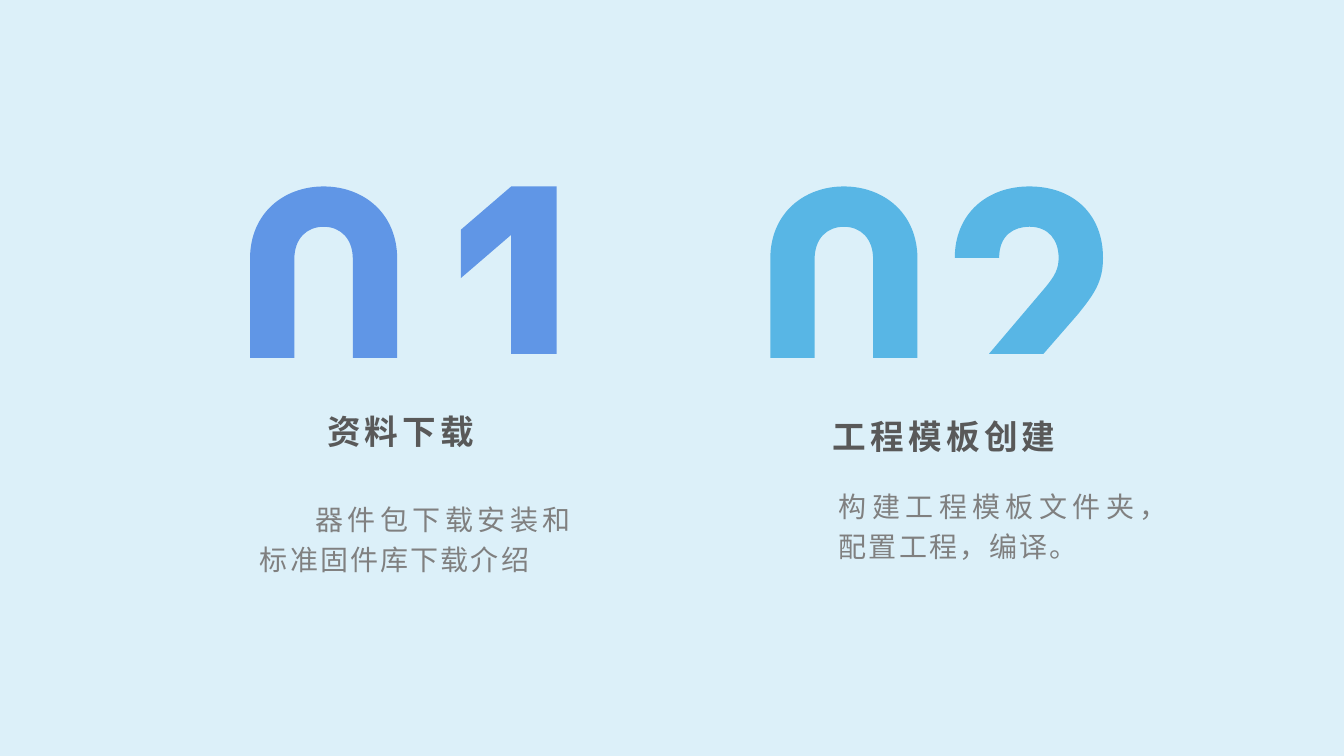
from lxml.etree import SubElement
from pptx import Presentation
from pptx.dml.color import RGBColor
from pptx.enum.text import MSO_ANCHOR as Anchor, PP_ALIGN as Align
from pptx.oxml.ns import qn
from pptx.util import Inches, Pt

BLUE, SKY = "6096E6", "58B6E5"

ZERO = [(0.73, 0), (1.12, 0, 1.46, 0.26, 1.46, 0.72), (1.46, 1.7), (1.02, 1.7),
        (1.02, 0.72), (1.02, 0.52, 0.9, 0.4, 0.73, 0.4),
        (0.56, 0.4, 0.44, 0.52, 0.44, 0.72), (0.44, 1.7), (0, 1.7),
        (0, 0.72), (0, 0.26, 0.34, 0, 0.73, 0)]
ONE = [(0.5, 0), (0.95, 0), (0.95, 1.66), (0.5, 1.66), (0.5, 0.48), (0, 0.91), (0, 0.43)]
TWO = [(0.74, 0), (1.17, 0, 1.47, 0.27, 1.47, 0.71), (1.47, 0.95, 1.38, 1.07, 1.22, 1.27),
       (0.88, 1.66), (0.34, 1.66), (0.9, 1.0), (0.99, 0.89, 1.03, 0.82, 1.03, 0.71),
       (1.03, 0.53, 0.93, 0.4, 0.74, 0.4), (0.59, 0.4, 0.44, 0.48, 0.44, 0.71),
       (0, 0.71), (0, 0.27, 0.32, 0, 0.74, 0)]


def rgb(value):
    return RGBColor.from_string(value)


class Contents:
    title = {"font": {"size": Pt(24), "bold": True, "name": "Arial"}, "color": "595959",
             "spacing": 300, "align": Align.CENTER, "anchor": Anchor.MIDDLE, "top_inset": 0.05}
    detail = {"font": {"size": Pt(20), "bold": False, "name": "Arial"}, "color": "808080",
              "spacing": 150, "align": Align.JUSTIFY, "anchor": Anchor.TOP, "top_inset": 0}

    def __init__(self, deck, background, opacity):
        self.slide = deck.slides.add_slide(deck.slide_layouts[6])
        fill = self.slide.background.fill
        fill.solid()
        fill.fore_color.rgb = rgb(background)
        tint = next(self.slide._element.iter(qn("a:srgbClr")))
        SubElement(tint, qn("a:alpha")).set("val", str(opacity * 1000))

    def digit(self, outline, left, color, top=1.85):
        points = [(Inches(left + step[-2]), Inches(top + step[-1])) for step in outline]
        builder = self.slide.shapes.build_freeform(*points[0])
        builder.add_line_segments(points[1:], close=True)
        glyph = builder.convert_to_shape()
        glyph.shadow.inherit = False
        glyph.fill.solid()
        glyph.fill.fore_color.rgb = rgb(color)
        glyph.line.fill.background()
        segments = list(glyph._element.iter(qn("a:lnTo")))
        for segment, step in zip(segments, outline[1:]):
            if len(step) == 6:
                self.bend(segment, step)

    def bend(self, segment, step):
        curve = segment.makeelement(qn("a:cubicBezTo"))
        for x, y in zip(step[::2], step[1::2]):
            point = SubElement(curve, qn("a:pt"))
            point.set("x", str(Inches(x)))
            point.set("y", str(Inches(y)))
        segment.getparent().replace(segment, curve)

    def text(self, wording, place, style, first_indent=0):
        frame = self.slide.shapes.add_textbox(*map(Inches, place)).text_frame
        layout = {"word_wrap": True, "vertical_anchor": style["anchor"],
                  "margin_left": Inches(0.1), "margin_right": Inches(0.1),
                  "margin_top": Inches(style["top_inset"]), "margin_bottom": Inches(0.05)}
        for name, value in layout.items():
            setattr(frame, name, value)
        paragraph = frame.paragraphs[0]
        paragraph.alignment = style["align"]
        paragraph.line_spacing = 1.2
        if first_indent:
            properties = paragraph._p.get_or_add_pPr()
            properties.set("marL", "0")
            properties.set("indent", str(Inches(first_indent)))
        run = paragraph.add_run()
        run.text = wording
        for name, value in style["font"].items():
            setattr(run.font, name, value)
        run.font.color.rgb = rgb(style["color"])
        run_properties = run._r.get_or_add_rPr()
        run_properties.set("lang", "zh-CN")
        run_properties.set("spc", str(style["spacing"]))


def main():
    deck = Presentation()
    deck.slide_width, deck.slide_height = Inches(13.33), Inches(7.5)
    contents = Contents(deck, "BCE2F5", opacity=51)
    contents.text("资料下载", (2.11, 3.63, 3.73, 1.21), Contents.title)
    contents.text("器件包下载安装和标准固件库下载介绍", (2.48, 4.92, 3.3, 0.98),
                  Contents.detail, first_indent=0.55)
    contents.text("工程模板创建", (7.1, 3.68, 4.53, 1.21), Contents.title)
    contents.text("构建工程模板文件夹，配置工程，编译。", (8.22, 4.79, 3.48, 2.71), Contents.detail)
    for outline, left, color in ((ZERO, 7.64, SKY), (TWO, 9.47, SKY),
                                 (ONE, 4.57, BLUE), (ZERO, 2.48, BLUE)):
        contents.digit(outline, left, color)
    deck.save("out.pptx")


if __name__ == "__main__":
    main()
